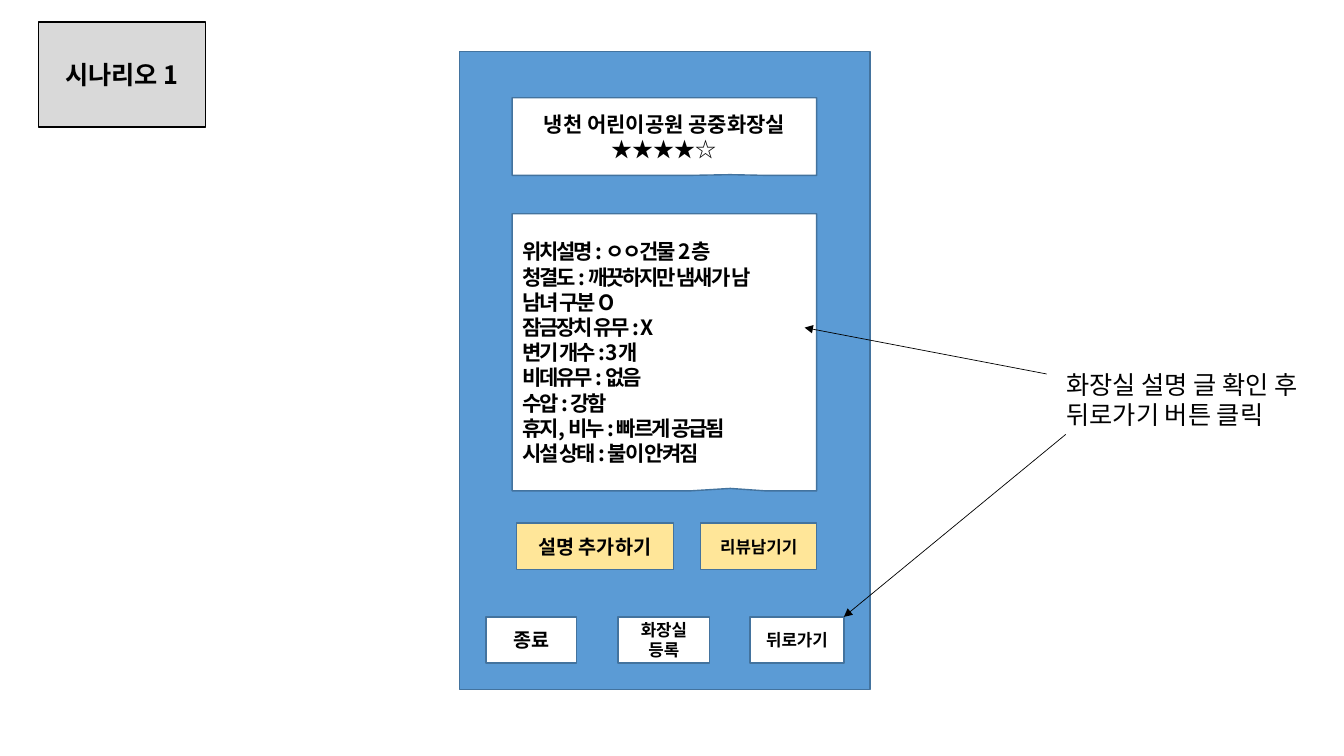
from pptx import Presentation
from pptx.util import Inches, Pt
from pptx.dml.color import RGBColor
from pptx.enum.shapes import MSO_SHAPE as Shape, MSO_CONNECTOR as Link
from pptx.enum.text import PP_ALIGN as Align, MSO_ANCHOR as Anchor, MSO_AUTO_SIZE as Fit
from pptx.oxml.ns import qn
from lxml.etree import SubElement as sub

FONT = "Noto Sans CJK KR"
HUES = {
    "phone": "5B9BD5", "edge": "43739E", "grey": "D9D9D9",
    "gold": "FFE699", "white": "FFFFFF", "black": "000000",
}
FACTS = [
    "위치설명 : ㅇㅇ건물 2층",
    "청결도 : 깨끗하지만 냄새가 남",
    "남녀 구분 O",
    "잠금장치 유무 : X",
    "변기 개수 : 3개",
    "비데유무 : 없음",
    "수압 : 강함",
    "휴지, 비누 : 빠르게 공급됨",
    "시설 상태 : 불이 안켜짐",
]


def hue(name):
    return RGBColor.from_string(HUES[name])


def write(frame, text, size, bold=True, align=Align.CENTER, space=None):
    frame.text = text
    frame.word_wrap = True
    for para in frame.paragraphs:
        para.alignment = align
        for run in para.runs:
            font = run.font
            font.name, font.size, font.bold = FONT, Pt(size), bold
            font.color.rgb = hue("black")
            props = run._r.get_or_add_rPr()
            sub(props, qn("a:ea")).set("typeface", FONT)
            if space:
                props.set("spc", str(space))


def panel(slide, box, fill, edge="edge", kind=Shape.RECTANGLE):
    shape = slide.shapes.add_shape(kind, *map(Inches, box))
    shape.shadow.inherit = False
    shape.fill.solid()
    shape.fill.fore_color.rgb = hue(fill)
    shape.line.color.rgb = hue(edge)
    shape.line.width = Pt(1)
    shape.text_frame.vertical_anchor = Anchor.MIDDLE
    return shape


def bubble(slide, box):
    shape = panel(slide, box, "white", kind=Shape.RECTANGULAR_CALLOUT)
    shape.adjustments[0] = 0.216
    shape.adjustments[1] = 0.491
    return shape.text_frame


def button(slide, box, fill, text, size):
    write(panel(slide, box, fill).text_frame, text, size)


def label(slide, box):
    write(panel(slide, box, "grey", "black").text_frame, "시나리오 1", 18)


def phone(slide, box):
    left, top = box[:2]
    panel(slide, box, "phone")
    head = bubble(slide, (left + 0.52, top + 0.46, 3.02, 0.77))
    write(head, "냉천 어린이공원 공중화장실\v★★★★☆", 15)
    head.paragraphs[0].runs[-1].font.bold = False
    body = bubble(slide, (left + 0.52, top + 1.61, 3.02, 2.75))
    write(body, "\n".join(FACTS), 15, align=Align.LEFT, space=-150)
    for x, y, wide, fill, text, size in [
        (0.56, 4.68, 1.56, "gold", "설명 추가하기", 14),
        (2.39, 4.68, 1.15, "gold", "리뷰남기기", 12),
        (0.26, 5.61, 0.9, "white", "종료", 14),
        (1.57, 5.61, 0.91, "white", "화장실 등록", 12),
        (2.88, 5.61, 0.93, "white", "뒤로가기", 12),
    ]:
        button(slide, (left + x, top + y, wide, 0.46), fill, text, size)


def arrow(slide, start, end):
    line = slide.shapes.add_connector(Link.STRAIGHT, *map(Inches, start + end))
    line.line.color.rgb = hue("black")
    line.line.width = Pt(0.5)
    sub(line.line._get_or_add_ln(), qn("a:tailEnd")).set("type", "triangle")
    sub(line._element.spPr, qn("a:effectLst"))


def note(slide, box):
    left, top = box[:2]
    frame = slide.shapes.add_textbox(*map(Inches, box)).text_frame
    write(frame, "화장실 설명 글 확인 후 \n뒤로가기 버튼 클릭", 18, False, Align.LEFT)
    frame.auto_size = Fit.SHAPE_TO_FIT_TEXT
    arrow(slide, (left - 0.1, top + 0.1), (7.98, 3.25))
    arrow(slide, (left + 0.09, top + 0.7), (8.37, 6.12))


deck = Presentation()
deck.slide_width, deck.slide_height = Inches(13.33), Inches(7.5)
page = deck.slides.add_slide(deck.slide_layouts[6])
label(page, (0.38, 0.22, 1.66, 1.04))
phone(page, (4.56, 0.51, 4.07, 6.33))
note(page, (10.48, 3.61, 2.97, 0.71))
deck.save("out.pptx")
